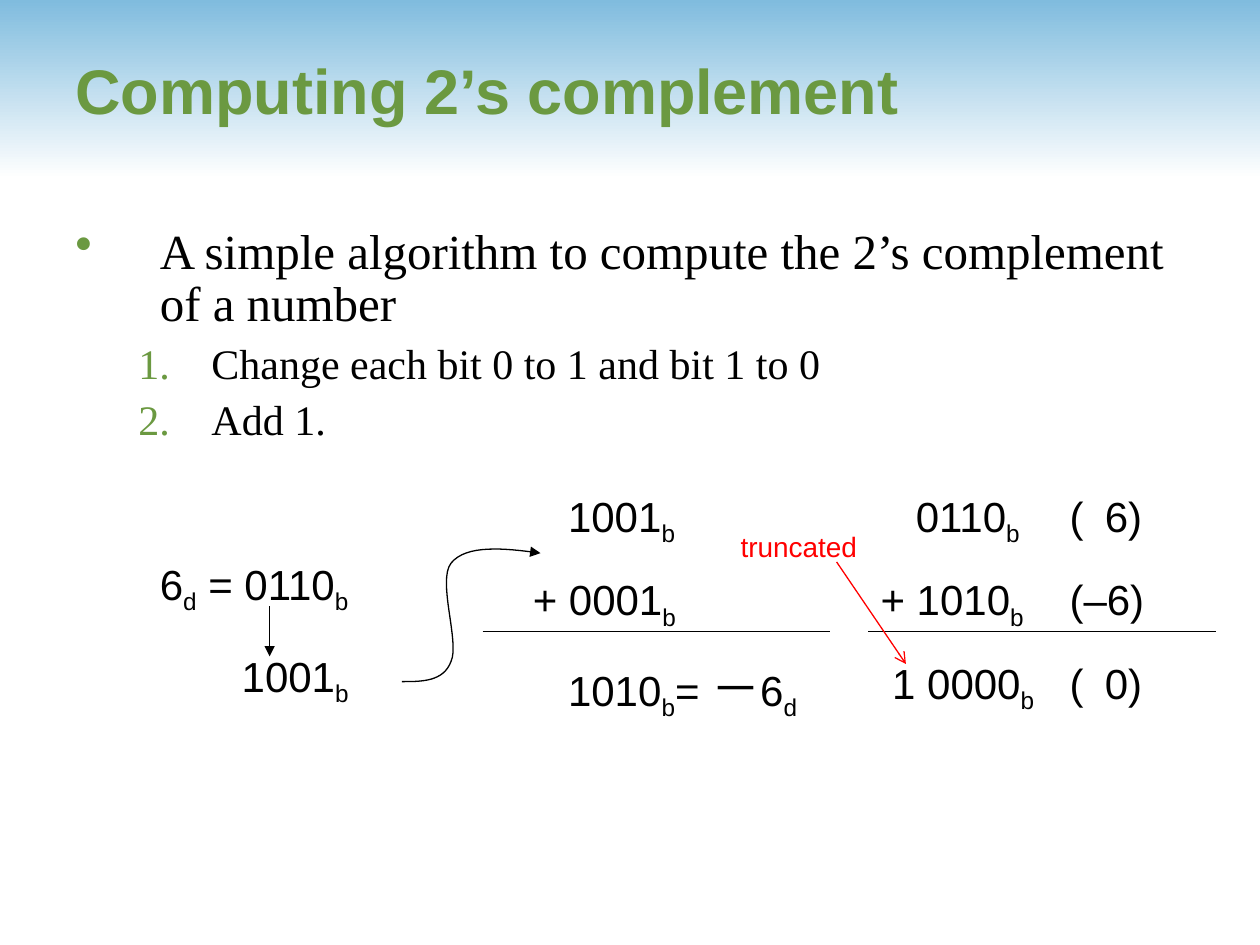
from dataclasses import dataclass

from lxml.etree import SubElement
from pptx import Presentation
from pptx.dml.color import RGBColor
from pptx.enum.shapes import MSO_CONNECTOR, MSO_SHAPE
from pptx.enum.text import MSO_ANCHOR
from pptx.oxml.ns import qn
from pptx.util import Inches, Pt


@dataclass(frozen=True)
class Theme:
    sky: RGBColor = RGBColor(0x80, 0xBC, 0xDE)
    white: RGBColor = RGBColor(0xFF, 0xFF, 0xFF)
    green: RGBColor = RGBColor(0x6B, 0x99, 0x41)
    ink: RGBColor = RGBColor(0, 0, 0)
    alert: RGBColor = RGBColor(0xFF, 0, 0)
    sans: str = "Arial"
    serif: str = "Times New Roman"
    cjk: str = "Noto Sans CJK TC"
    title_size: int = 36
    body_size: int = 28
    sum_size: int = 24
    note_size: int = 16
    line: float = 0.75


THEME = Theme()
SUB_B = ("b", True)
SUB_D = ("d", True)


# Text helpers
def add_box(slide, left, top, width, height):
    frame = slide.shapes.add_textbox(
        Inches(left), Inches(top), Inches(width), Inches(height)).text_frame
    frame.word_wrap = True
    return frame


def next_paragraph(frame, index):
    return frame.paragraphs[0] if index == 0 else frame.add_paragraph()


def add_run(paragraph, text, size, font=THEME.sans, color=THEME.ink,
            bold=False, subscript=False):
    run = paragraph.add_run()
    run.text = text
    run.font.size = Pt(size)
    run.font.bold = bold
    run.font.color.rgb = color
    run.font.name = font
    properties = run.font._element
    SubElement(properties, qn("a:ea"), typeface=font)
    if subscript:
        properties.set("baseline", "-25000")


def set_bullet(paragraph, indent, hanging, tag, **settings):
    properties = paragraph._p.get_or_add_pPr()
    properties.set("marL", str(Inches(indent)))
    properties.set("indent", str(-Inches(hanging)))
    color = SubElement(properties, qn("a:buClr"))
    SubElement(color, qn("a:srgbClr"), val=str(THEME.green))
    SubElement(properties, qn(tag), **settings)


def set_tabs(paragraph, stops):
    tabs = SubElement(paragraph._p.get_or_add_pPr(), qn("a:tabLst"))
    for stop in stops:
        SubElement(tabs, qn("a:tab"), pos=str(Inches(stop)), algn="l")


def add_sum_text(slide, box, rows, tabs=()):
    """Each row is a list of (text, is_subscript) parts."""
    frame = add_box(slide, *box)
    for index, row in enumerate(rows):
        paragraph = next_paragraph(frame, index)
        paragraph.space_before = Pt(15)
        if tabs:
            set_tabs(paragraph, tabs)
        for text, subscript in row:
            if text == "－":
                add_run(paragraph, text, THEME.body_size, THEME.cjk)
            else:
                add_run(paragraph, text, THEME.sum_size, subscript=subscript)


# Line helpers
def style_line(line, color, head=None):
    line.color.rgb = color
    line.width = Pt(THEME.line)
    if head:
        SubElement(line._get_or_add_ln(), qn("a:tailEnd"), type=head)


def add_line(slide, start, end, color=THEME.ink, head=None):
    connector = slide.shapes.add_connector(
        MSO_CONNECTOR.STRAIGHT, *map(Inches, (*start, *end)))
    style_line(connector.line, color, head)
    SubElement(connector._element.spPr, qn("a:effectLst"))


def bezier_points(start, control_a, control_b, end, steps=16):
    for step in range(1, steps + 1):
        t = step / steps
        weights = ((1 - t) ** 3, 3 * t * (1 - t) ** 2, 3 * t * t * (1 - t), t ** 3)
        yield tuple(
            Inches(sum(w * c for w, c in zip(weights, coords)))
            for coords in zip(start, control_a, control_b, end))


def add_curved_arrow(slide, left, top):
    start = (left, top + 1.09)
    segments = [
        ((0.16, 1.09), (0.33, 1.09), (0.39, 0.93)),
        ((0.46, 0.78), (0.28, 0.29), (0.39, 0.15)),
        ((0.51, 0), (0.81, 0.03), (1.1, 0.07)),
    ]
    builder = slide.shapes.build_freeform(*map(Inches, start))
    for segment in segments:
        points = [(left + x, top + y) for x, y in segment]
        builder.add_line_segments(bezier_points(start, *points), close=False)
        start = points[-1]
    curve = builder.convert_to_shape()
    curve.shadow.inherit = False
    curve.fill.background()
    style_line(curve.line, THEME.ink, "triangle")


# Regions of the slide
def add_header(slide, left, top, width, height):
    band = slide.shapes.add_shape(
        MSO_SHAPE.RECTANGLE, *map(Inches, (left, top, width, height)))
    band.shadow.inherit = False
    band.line.fill.background()
    band.fill.gradient()
    band.fill.gradient_angle = 270
    for stop, color, position in zip(
            band.fill.gradient_stops, (THEME.sky, THEME.white), (0, 1)):
        stop.color.rgb = color
        stop.position = position

    title = add_box(slide, left + 0.5, top + 0.08, width - 0.92, 1.25)
    title.vertical_anchor = MSO_ANCHOR.MIDDLE
    add_run(title.paragraphs[0], "Computing 2’s complement",
            THEME.title_size, color=THEME.green, bold=True)


def add_algorithm(slide, left, top, width, height):
    frame = add_box(slide, left, top, width, height)
    numbered = (1.08, 0.58, "a:buAutoNum", {"type": "arabicPeriod"})
    items = [
        ("A simple algorithm to compute the 2’s complement of a number",
         THEME.body_size, 7, 0, (0.67, 0.67, "a:buChar", {"char": "•"})),
        ("Change each bit 0 to 1 and bit 1 to 0", THEME.sum_size, 6, 1, numbered),
        ("Add 1.", THEME.sum_size, 6, 1, numbered),
    ]
    for index, (text, size, space, level, bullet) in enumerate(items):
        paragraph = next_paragraph(frame, index)
        paragraph.level = level
        paragraph.line_spacing = 0.9
        paragraph.space_before = Pt(space)
        indent, hanging, tag, settings = bullet
        set_bullet(paragraph, indent, hanging, tag, **settings)
        add_run(paragraph, text, size, THEME.serif)


def add_bit_flip(slide, left, top):
    add_sum_text(slide, (left, top, 2.13, 0.56),
                 [[("6", False), SUB_D, (" = 0110", False), SUB_B]])
    add_line(slide, (left + 0.97, top + 0.43), (left + 0.97, top + 0.83),
             head="triangle")
    add_sum_text(slide, (left + 0.65, top + 0.73, 1.34, 0.56),
                 [[("1001", False), SUB_B]])


def add_increment(slide, left, top):
    add_line(slide, (left, top + 1.17), (left + 2.76, top + 1.17))
    add_sum_text(slide, (left + 0.3, top, 2.91, 1.94), [
        [("\t1001", False), SUB_B],
        [("+ 0001", False), SUB_B],
        [("\t1010", False), SUB_B, ("= ", False), ("－", False),
         ("6", False), SUB_D],
    ], tabs=(0.28,))


def add_check(slide, left, top):
    add_line(slide, (left, top + 1.17), (left + 2.76, top + 1.17))
    add_sum_text(slide, (left, top, 2.91, 1.88), [
        [("\t0110", False), SUB_B, ("\t(\t6)", False)],
        [("+ 1010", False), SUB_B, ("\t(–6)", False)],
        [(" 1 0000", False), SUB_B, ("\t(\t0)", False)],
    ], tabs=(0.28, 1.5, 1.78))


def add_truncation_note(slide, left, top):
    note = add_box(slide, left, top, 1.25, 0.37)
    add_run(note.paragraphs[0], "truncated", THEME.note_size, color=THEME.alert)
    add_line(slide, (left + 0.86, top + 0.31), (left + 1.41, top + 1.12),
             THEME.alert, "arrow")


def main():
    deck = Presentation()
    deck.slide_width, deck.slide_height = Inches(10), Inches(7.5)
    slide = deck.slides.add_slide(deck.slide_layouts[6])
    add_header(slide, 0, 0, 10, 1.42)
    add_algorithm(slide, 0.5, 1.75, 9.08, 4.5)
    add_bit_flip(slide, 1.17, 4.38)
    add_increment(slide, 3.83, 3.84)
    add_curved_arrow(slide, 3.19, 4.32)
    add_check(slide, 6.89, 3.84)
    add_truncation_note(slide, 5.78, 4.15)
    deck.save("out.pptx")


if __name__ == "__main__":
    main()
